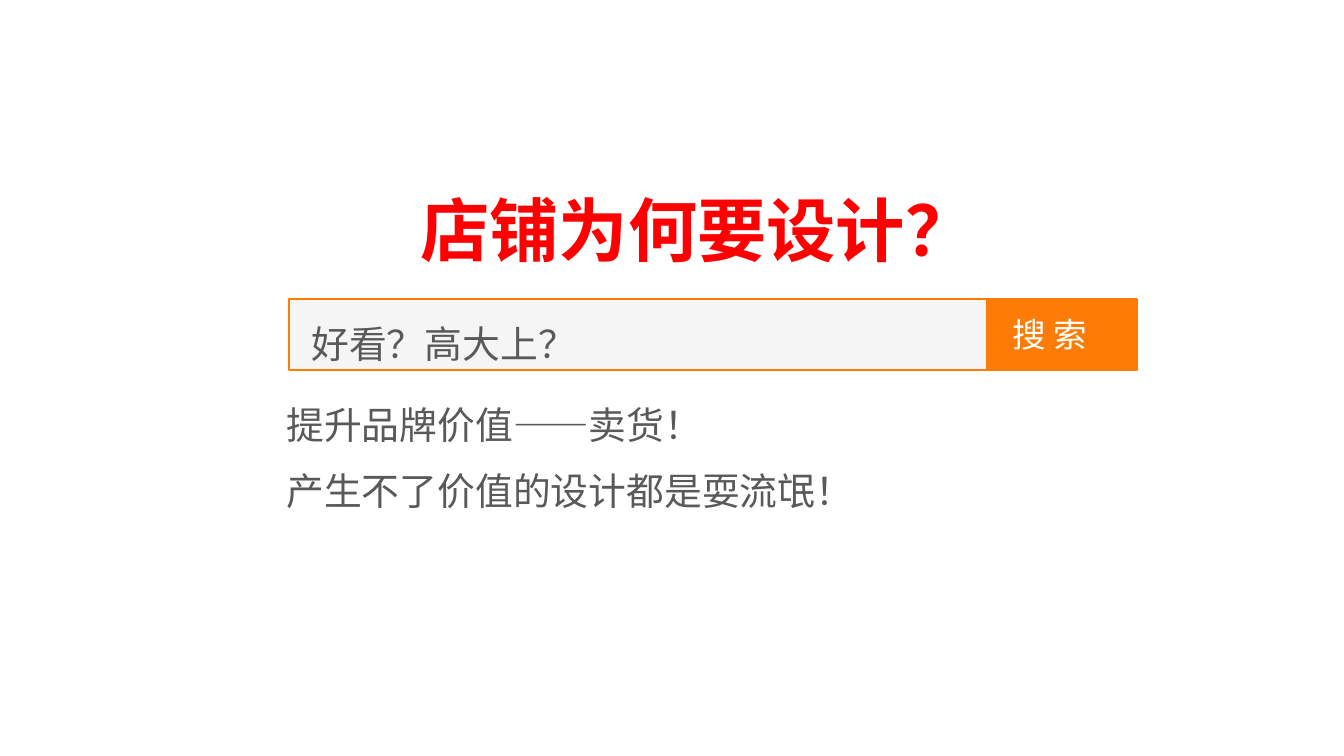
import pptx
import pptx.util
import pptx.dml.color
import pptx.enum.shapes
from pptx.util import Inches

COLORS = {
    "title": "FF0000",
    "accent": "FE7C06",
    "field": "F5F5F5",
    "body": "595959",
    "white": "FFFFFF",
}
SANS = "Noto Sans CJK SC"


def color(name):
    return pptx.dml.color.RGBColor.from_string(COLORS[name])


def add_box(slide, left, width, fill):
    """Add one part of the search bar."""
    box = slide.shapes.add_shape(
        pptx.enum.shapes.MSO_SHAPE.RECTANGLE,
        Inches(left), Inches(3.96), Inches(width), Inches(0.94))
    box.shadow.inherit = False
    box.fill.solid()
    box.fill.fore_color.rgb = color(fill)
    box.line.color.rgb = color("accent")
    box.line.width = pptx.util.Pt(2)


def add_text(slide, text, left, top, width, height, size=36, font=SANS,
             fill="body", bold=False, lines=1.3, gap=0, wrap=True):
    """Add a text box with one paragraph per line of text."""
    box = slide.shapes.add_textbox(
        Inches(left), Inches(top), Inches(width), Inches(height))
    frame = box.text_frame
    frame.word_wrap = wrap
    frame.text = text
    for i, para in enumerate(frame.paragraphs):
        para.line_spacing = lines
        para.space_before = pptx.util.Pt(gap if i else 0)
        for run in para.runs:
            run.font.name = font
            run.font.size = pptx.util.Pt(size)
            run.font.bold = bold
            run.font.color.rgb = color(fill)


def main():
    deck = pptx.Presentation()
    deck.slide_width = Inches(17.78)
    deck.slide_height = Inches(10)
    slide = deck.slides.add_slide(deck.slide_layouts[6])

    add_text(slide, "店铺为何要设计？", 5.46, 1.88, 8.35, 1.77,
             size=66, fill="title", bold=True, lines=1.5)
    add_box(slide, 3.82, 9.24, "field")
    add_box(slide, 13.06, 1.98, "accent")
    add_text(slide, "好看？高大上？", 4.02, 4.01, 3.7, 0.89,
             font="Calibri", wrap=False)
    add_text(slide, "搜 索", 13.3, 4.11, 1.28, 0.64,
             size=32, fill="white", lines=1)
    add_text(slide, "提升品牌价值——卖货！\n产生不了价值的设计都是耍流氓！",
             3.69, 5.08, 9.03, 2.4, gap=7)

    deck.save("out.pptx")


if __name__ == "__main__":
    main()
